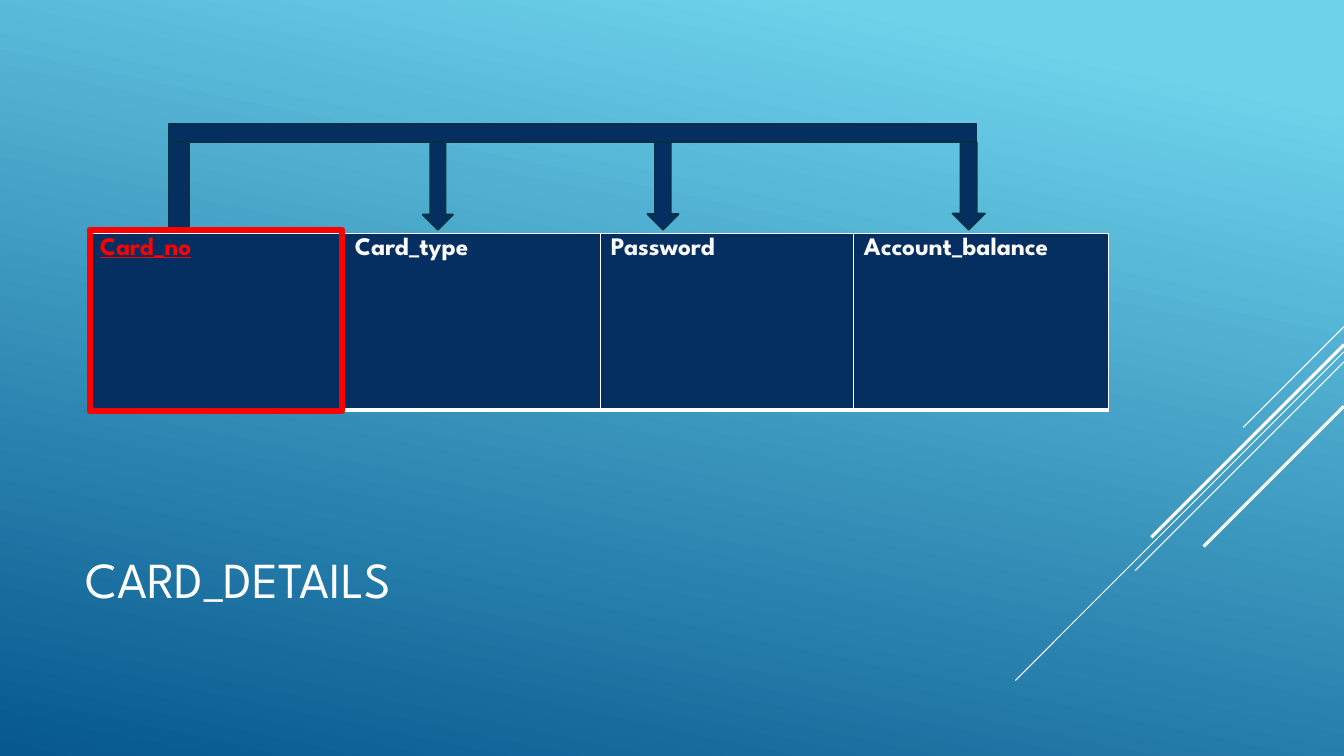
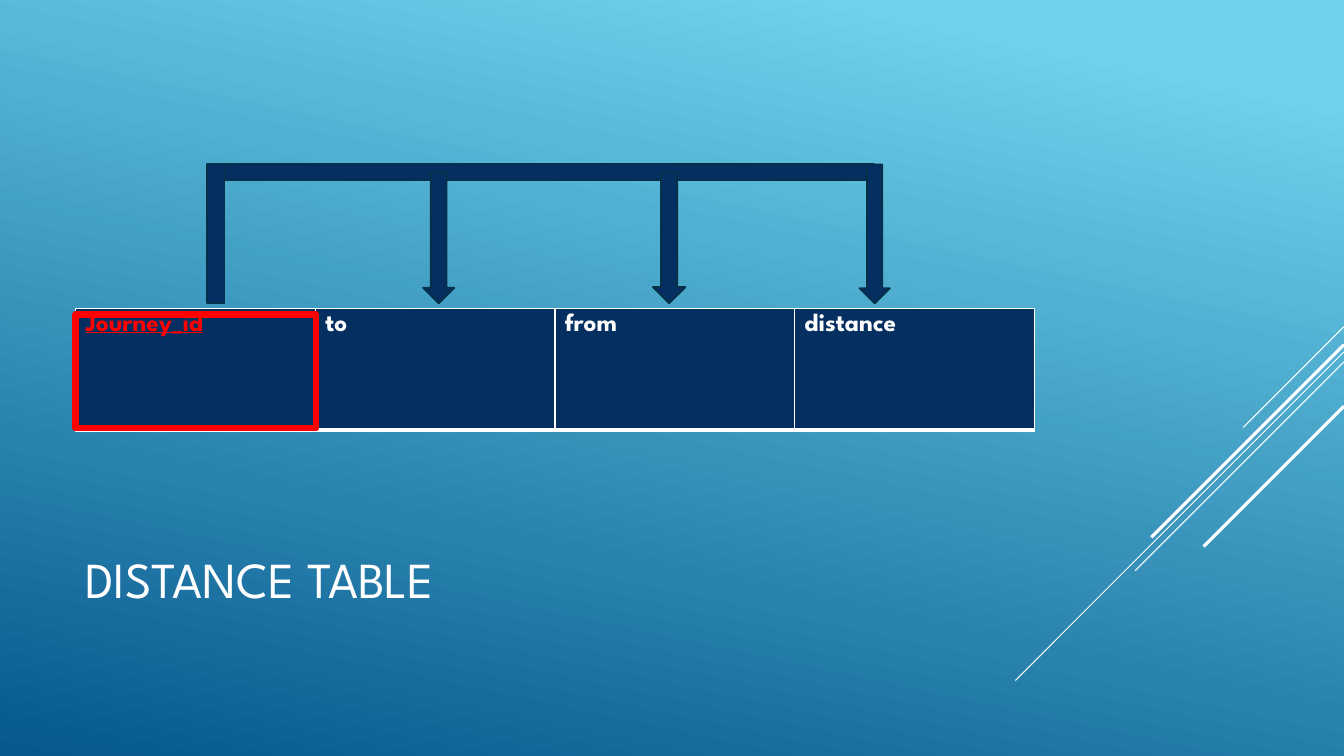
import dataclasses

import lxml.etree
import pptx
import pptx.dml.color
import pptx.enum.dml
import pptx.enum.shapes
import pptx.enum.text
import pptx.oxml
import pptx.oxml.ns
import pptx.util

Pt = pptx.util.Pt
RGB = pptx.dml.color.RGBColor.from_string
Kind = pptx.enum.shapes.MSO_SHAPE
qn = pptx.oxml.ns.qn


@dataclasses.dataclass(frozen=True)
class Theme:
    font: str = "League Spartan"
    light: str = "6ED2EB"
    deep: str = "06588E"
    navy: str = "052F61"
    edge: str = "043148"
    white: str = "FFFFFF"
    red: str = "FF0000"
    head: int = 36
    body: int = 18
    thin: float = 0.75
    bold: float = 2.25
    rim: float = 1.25
    mark: float = 4.5
    grid: int = 1
    base: int = 3


class Deck:
    """Hold the theme, the file and the current slide."""

    def __init__(self, theme):
        self.theme = theme
        self.file = pptx.Presentation()
        self.file.slide_width, self.file.slide_height = Pt(960), Pt(540)
        fill = self.file.slide_master.background.fill
        fill.gradient()
        fill.gradient_angle = 360 - 102
        stops = zip(fill.gradient_stops, (theme.light, theme.deep), (0.1, 1))
        for stop, tint, place in stops:
            stop.color.rgb = RGB(tint)
            stop.position = place

    def start(self, title):
        self.slide = self.file.slides.add_slide(self.file.slide_layouts[6])
        theme = self.theme
        for top, span, width in (
            (233.3, 72, theme.thin),
            (251.3, 234.7, theme.thin),
            (258.5, 149.2, theme.thin),
            (246.2, 137.6, theme.bold),
            (290.2, 100.2, theme.bold),
        ):
            self.slash(top, span, width)
        self.title(title)

    def slash(self, top, span, width):
        line = self.slide.shapes.add_connector(
            pptx.enum.shapes.MSO_CONNECTOR.STRAIGHT,
            Pt(960), Pt(top), Pt(960 - span), Pt(top + span))
        line.line.color.rgb = RGB(self.theme.white)
        line.line.width = Pt(width)
        lxml.etree.SubElement(line._element.spPr, qn("a:effectLst"))

    def label(self, frame, text, tint, **form):
        run = frame.paragraphs[0].add_run()
        run.text = text
        run.font.color.rgb = RGB(tint)
        for key, val in {"name": self.theme.font, **form}.items():
            setattr(run.font, key, val)

    def title(self, text):
        box = self.slide.shapes.add_textbox(Pt(54), Pt(353.5), Pt(672), Pt(119))
        frame = box.text_frame
        frame.word_wrap = True
        frame.vertical_anchor = pptx.enum.text.MSO_ANCHOR.MIDDLE
        self.label(frame, text, self.theme.white, size=Pt(self.theme.head))

    def frame(self, cell):
        theme = self.theme
        sides = {"L": theme.grid, "R": theme.grid, "T": theme.grid, "B": theme.base}
        for side, width in sides.items():
            line = lxml.etree.SubElement(
                cell._tc.get_or_add_tcPr(), qn(f"a:ln{side}"), w=str(Pt(width)))
            fill = lxml.etree.SubElement(line, qn("a:solidFill"))
            lxml.etree.SubElement(fill, qn("a:srgbClr"), val=theme.white)

    def table(self, left, top, cols, high, names):
        theme = self.theme
        grid = self.slide.shapes.add_table(
            1, len(cols), Pt(left), Pt(top), Pt(sum(cols)), Pt(high)).table
        grid.rows[0].height = Pt(high)
        for pos, (wide, name) in enumerate(zip(cols, names)):
            grid.columns[pos].width = Pt(wide)
            cell = grid.cell(0, pos)
            self.frame(cell)
            cell.fill.solid()
            cell.fill.fore_color.rgb = RGB(theme.navy)
            key = pos == 0
            self.label(cell.text_frame, name, theme.red if key else theme.white,
                       size=Pt(theme.body), bold=True, underline=key)

    def shape(self, kind, area, fill, line, width):
        item = self.slide.shapes.add_shape(kind, *map(Pt, area))
        item.shadow.inherit = False
        if fill:
            item.fill.solid()
            item.fill.fore_color.rgb = RGB(fill)
        else:
            item.fill.background()
        item.line.color.rgb = RGB(line)
        item.line.width = Pt(width)

    def bar(self, *area, kind=Kind.RECTANGLE):
        self.shape(kind, area, self.theme.navy, self.theme.edge, self.theme.rim)

    def arrow(self, *area):
        self.bar(*area, kind=Kind.DOWN_ARROW)

    def ring(self, *area):
        self.shape(Kind.RECTANGLE, area, None, self.theme.red, self.theme.mark)


def main():
    deck = Deck(Theme())

    deck.start("CARD_DETAILS")
    deck.table(64.1, 166.5, (182.2, 182.9, 180.7, 182.2), 126.5,
               ("Card_no", "Card_type", "Password", "Account_balance"))
    deck.bar(120.6, 101.5, 14.6, 62.6)
    deck.bar(120.6, 88.6, 577, 12.9)
    for left, wide in ((302, 21.6), (462.4, 22.3), (680.4, 23.2)):
        deck.arrow(left, 101.5, wide, 62.6)
    deck.ring(64.1, 164.2, 180.4, 129.6)

    deck.start("DISTANCE TABLE")
    deck.table(54, 220.3, (171.2,) * 4, 87.1,
               ("Journey_id", "to", "from", "distance"))
    deck.bar(148, 117.4, 476.6, 11)
    for left, top, wide in ((614, 117.4, 21.6), (466.4, 123.1, 23.2), (302.2, 123.1, 22.3)):
        deck.arrow(left, top, wide, 216.7 - top)
    deck.bar(148, 117.4, 12.4, 99.3)
    deck.ring(54, 224.6, 172, 81.4)

    deck.file.save("out.pptx")


if __name__ == "__main__":
    main()
